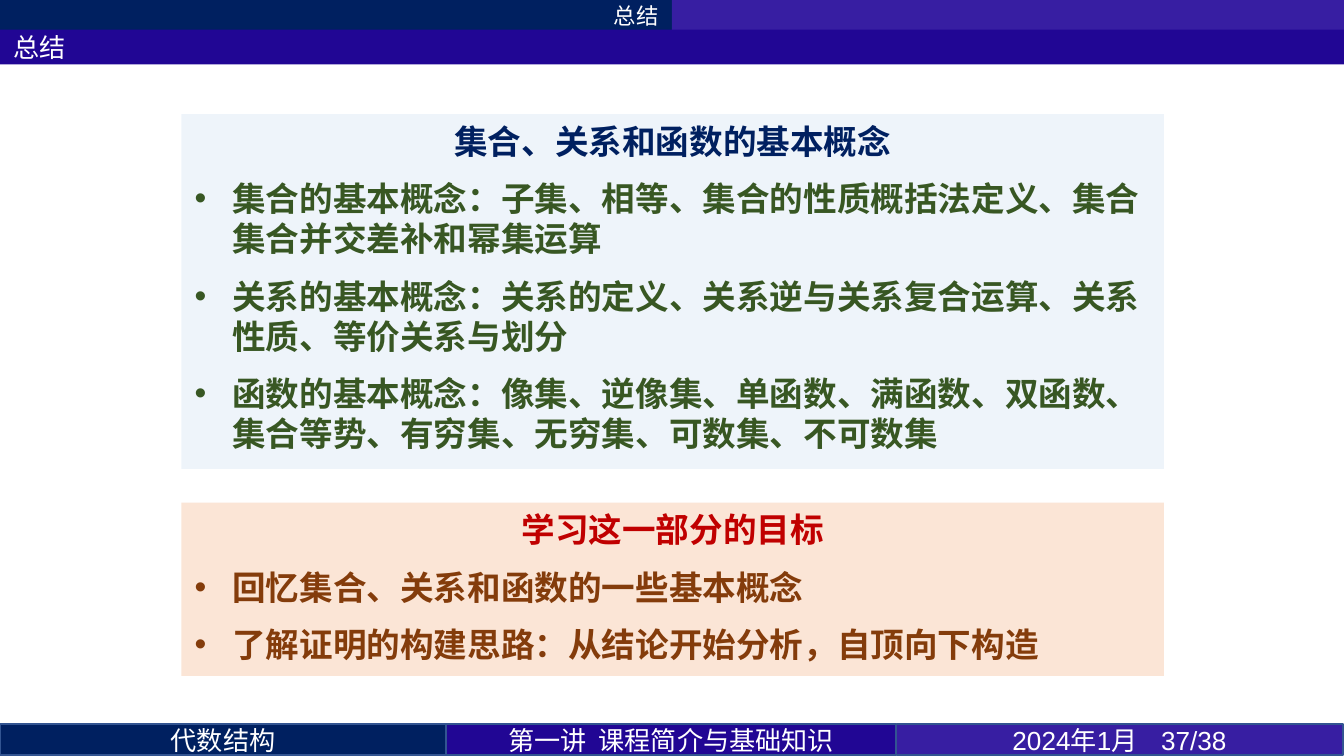
from pptx import Presentation
from pptx.dml.color import RGBColor
from pptx.enum.shapes import MSO_SHAPE
from pptx.enum.text import MSO_ANCHOR, MSO_AUTO_SIZE, PP_ALIGN as AL
from pptx.oxml.ns import qn
from pptx.util import Inches, Pt
from lxml.etree import SubElement

COLORS = {
    "navy": "002060", "violet": "371EA2", "indigo": "210694",
    "edge": "325491", "white": "FFFFFF", "ice": "DEEBF7",
    "peach": "FBE5D6", "green": "385723", "red": "C00000", "brown": "843C0B",
}
CJK = "Noto Sans CJK SC"


def rgb(name):
    return RGBColor.from_string(COLORS[name])


def add_bullet(p, indent=0.28):
    pPr = p._p.get_or_add_pPr()
    pPr.set("marL", str(Inches(indent)))
    pPr.set("indent", str(Inches(-indent)))
    SubElement(pPr, qn("a:buFont"), typeface="Arial")
    SubElement(pPr, qn("a:buChar"), char="•")


def write(p, text, size=14, font=CJK, color="white", bold=False,
          align=AL.LEFT, before=0, after=0, bullet=False, widen=0):
    """Fill a paragraph; widen adds that many points to each space."""
    p.alignment = align
    p.space_before, p.space_after = Pt(before), Pt(after)
    if bullet:
        add_bullet(p)
    for part in text.partition(" "):
        if not part:
            continue
        r = p.add_run()
        r.text = part
        r.font.size, r.font.name, r.font.bold = Pt(size), font, bold
        r.font.color.rgb = rgb(color)
        rPr = r._r.get_or_add_rPr()
        SubElement(rPr, qn("a:ea"), typeface=CJK)
        if part == " " and widen:
            rPr.set("spc", str(round(widen * 100)))


class SlideBuilder:
    """Holds the slide and the spacing shared by its panels."""
    gap = 4.5
    panel_left, panel_width = 1.35, 7.31

    def __init__(self, prs):
        self.s = prs.slides.add_slide(prs.slide_layouts[6])

    def rect(self, x, y, w, h, fill, line=None, alpha=None):
        sp = self.s.shapes.add_shape(
            MSO_SHAPE.RECTANGLE, Inches(x), Inches(y), Inches(w), Inches(h))
        sp.shadow.inherit = False
        sp.fill.solid()
        sp.fill.fore_color.rgb = rgb(fill)
        if alpha is not None:
            clr = sp._element.spPr.find(qn("a:solidFill"))[0]
            SubElement(clr, qn("a:alpha"), val=str(alpha * 1000))
        if line:
            sp.line.color.rgb = rgb(line)
            sp.line.width = Pt(1)
        else:
            sp.line.fill.background()
        return sp

    def bar(self, x, y, w, h, fill, text=None, line=None, **fmt):
        sp = self.rect(x, y, w, h, fill, line)
        if text:
            tf = sp.text_frame
            tf.word_wrap = True
            tf.vertical_anchor = MSO_ANCHOR.MIDDLE
            write(tf.paragraphs[0], text, **fmt)

    def panel(self, y, h, fill, title, title_color, items, item_color, alpha=None):
        """A box with a centred heading above bulleted items."""
        sp = self.rect(self.panel_left, y, self.panel_width, h, fill, alpha=alpha)
        tf = sp.text_frame
        tf.word_wrap = True
        tf.auto_size = MSO_AUTO_SIZE.SHAPE_TO_FIT_TEXT
        tf.vertical_anchor = MSO_ANCHOR.TOP
        write(tf.paragraphs[0], title, size=18, font="Calibri", bold=True,
              color=title_color, align=AL.CENTER, after=self.gap)
        for item in items:
            write(tf.add_paragraph(), item, size=18, bold=True, color=item_color,
                  before=self.gap, after=self.gap, bullet=True)


def main():
    prs = Presentation()
    prs.slide_width = Inches(10)
    prs.slide_height = prs.slide_width * 9 // 16
    b = SlideBuilder(prs)

    b.panel(0.85, 2.64, "ice", "集合、关系和函数的基本概念", "navy", [
        "集合的基本概念：子集、相等、集合的性质概括法定义、集合集合并交差补和幂集运算",
        "关系的基本概念：关系的定义、关系逆与关系复合运算、关系性质、等价关系与划分",
        "函数的基本概念：像集、逆像集、单函数、满函数、双函数、集合等势、有穷集、无穷集、可数集、不可数集",
    ], "green", alpha=50)
    b.panel(3.74, 1.29, "peach", "学习这一部分的目标", "red", [
        "回忆集合、关系和函数的一些基本概念",
        "了解证明的构建思路：从结论开始分析，自顶向下构造",
    ], "brown")

    b.bar(0, 0, 5, 0.23, "navy", "总结", size=12, align=AL.RIGHT)
    b.bar(5, 0, 5, 0.23, "violet")
    b.bar(0, 0.22, 10, 0.26, "indigo", "总结", font="Calibri")

    footer = [
        (3.32, "navy", "代数结构", CJK, 0),
        (3.35, "indigo", "第一讲 课程简介与基础知识", CJK, 3.1),
        (3.32, "violet", "2024年1月 37/38", "Arial", 9.4),
    ]
    x = 0
    for w, fill, text, font, widen in footer:
        b.bar(x, 5.39, w, 0.23, fill, text, line="edge", font=font,
              align=AL.CENTER, widen=widen)
        x += w

    prs.save("out.pptx")


if __name__ == "__main__":
    main()
